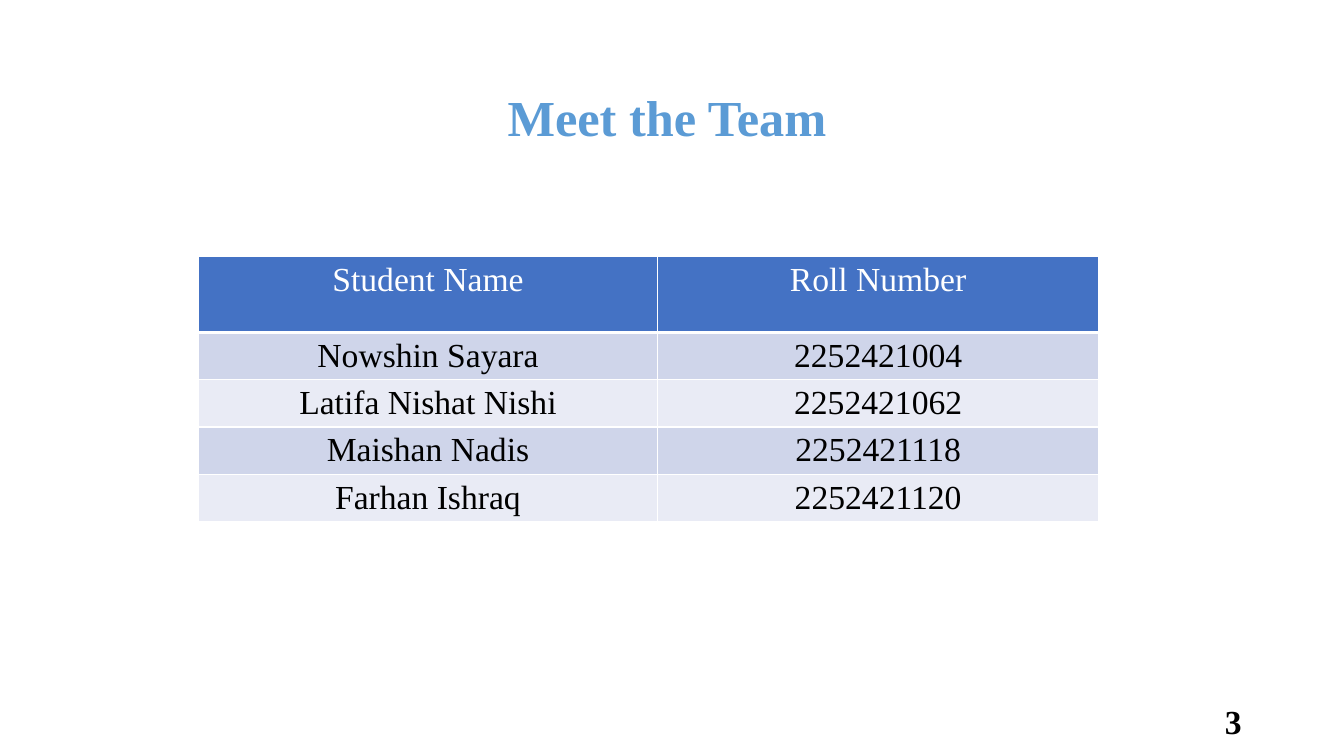
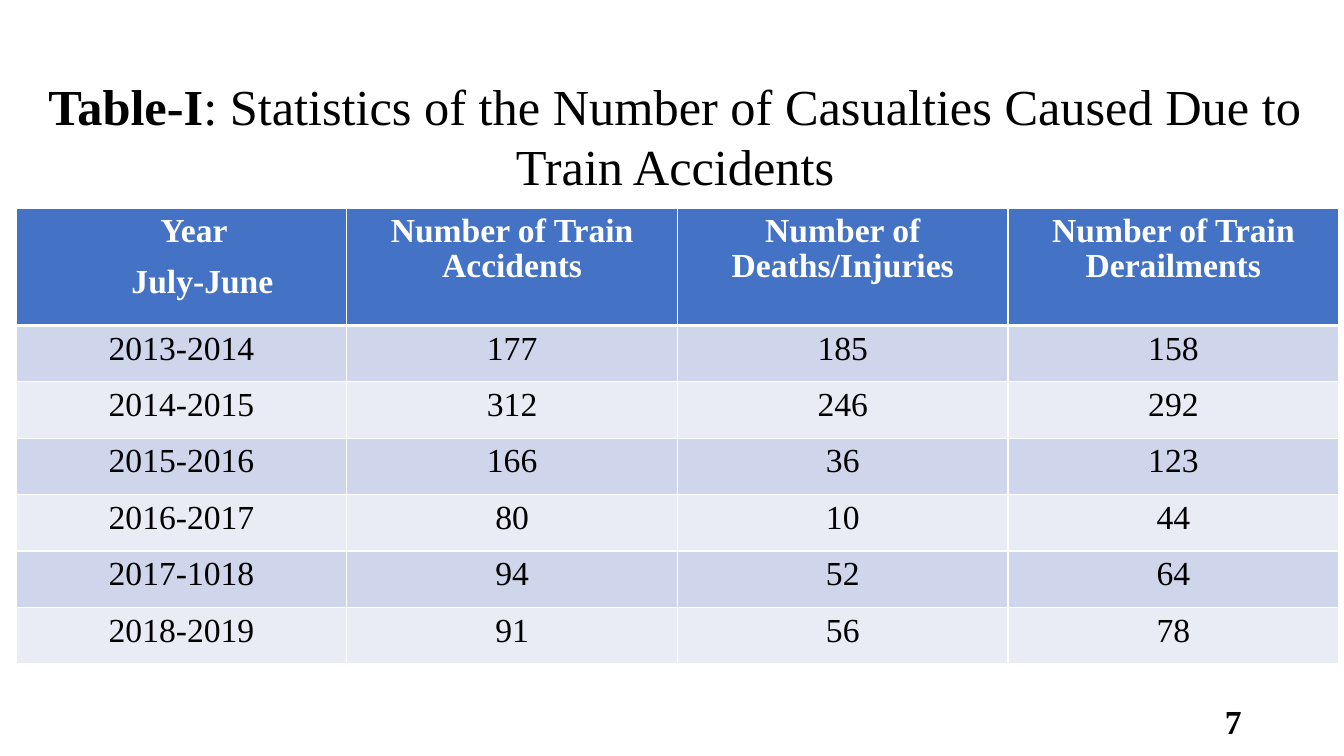
from lxml import etree
from pptx import Presentation
from pptx import util as u
from pptx.dml import color
from pptx.enum import text
from pptx.oxml import ns

ALIGN = text.PP_ALIGN


def rgb(value):
    return color.RGBColor.from_string(value)


class SlideWriter:
    """Holds the shared style and the slide being written."""

    FONT = "Times New Roman"
    BLACK, WHITE, TITLE_BLUE = "000000", "FFFFFF", "5B9BD5"
    HEADER, BANDS = "4472C4", ("CFD5EA", "E9EBF5")
    TITLE_SIZE, TEXT_SIZE = 36, 24
    THIN, THICK = 1, 3

    def __init__(self, deck):
        self.deck = deck
        self.page = None

    def new_page(self, number):
        self.page = self.deck.slides.add_slide(self.deck.slide_layouts[5])
        self.page_number(number)

    def place(self, shape, area):
        for name, value in zip(("left", "top", "width", "height"), area):
            setattr(shape, name, u.Pt(value))

    def add_span(self, para, words, size, shade, bold=False):
        span = para.add_run()
        span.text = words
        style = {"name": self.FONT, "size": u.Pt(size), "bold": bold}
        for name, value in style.items():
            setattr(span.font, name, value)
        span.font.color.rgb = rgb(shade)

    def frame_style(self, frame, anchor):
        style = {"word_wrap": True, "vertical_anchor": anchor,
                 "auto_size": text.MSO_AUTO_SIZE.NONE}
        for name, value in style.items():
            setattr(frame, name, value)

    def title(self, area, spans, shade):
        box = self.page.shapes.title
        self.place(box, area)
        self.frame_style(box.text_frame, text.MSO_ANCHOR.TOP)
        para = box.text_frame.paragraphs[0]
        para.alignment = ALIGN.CENTER
        for words, bold in spans:
            self.add_span(para, words, self.TITLE_SIZE, shade, bold)

    def page_number(self, number):
        box = self.page.shapes.add_textbox(*map(u.Pt, (678, 500.5, 216, 28.8)))
        self.frame_style(box.text_frame, text.MSO_ANCHOR.MIDDLE)
        para = box.text_frame.paragraphs[0]
        para.alignment = ALIGN.RIGHT
        self.add_span(para, str(number), self.TEXT_SIZE, self.BLACK, True)

    def borders(self, cell, row):
        # White rules, with a heavier one under the header row
        widths = {"lnL": self.THIN, "lnR": self.THIN,
                  "lnT": self.THICK if row == 1 else self.THIN,
                  "lnB": self.THICK if row == 0 else self.THIN}
        props = cell._tc.get_or_add_tcPr()
        for side, width in widths.items():
            line = etree.SubElement(props, ns.qn(f"a:{side}"), w=str(u.Pt(width)))
            fill = etree.SubElement(line, ns.qn("a:solidFill"))
            etree.SubElement(fill, ns.qn("a:srgbClr"), val=self.WHITE)

    def cell(self, cell, row, lines, bold_header, margin, spacing):
        header = row == 0
        if margin:
            for side in ("left", "top", "right", "bottom"):
                setattr(cell, f"margin_{side}", u.Pt(margin))
        self.borders(cell, row)
        cell.fill.solid()
        cell.fill.fore_color.rgb = rgb(
            self.HEADER if header else self.BANDS[(row - 1) % 2])

        # A line is (words, left indent in points)
        frame = cell.text_frame
        for index, (words, indent) in enumerate(lines):
            para = frame.add_paragraph() if index else frame.paragraphs[0]
            para.alignment = ALIGN.CENTER
            para.line_spacing = spacing
            if index:
                para.space_before = u.Pt(12)
            if indent:
                para._p.get_or_add_pPr().set("marL", str(u.Pt(indent)))
            self.add_span(para, words, self.TEXT_SIZE,
                          self.WHITE if header else self.BLACK,
                          header and bold_header)

    def table(self, corner, columns, header_height, row_height, rows,
              bold_header=False, margin=None, spacing=1.0):
        heights = [header_height] + [row_height] * (len(rows) - 1)
        area = (*corner, sum(columns), sum(heights))
        grid = self.page.shapes.add_table(
            len(rows), len(columns), *map(u.Pt, area)).table
        for column, width in zip(grid.columns, columns):
            column.width = u.Pt(width)
        for row, (values, height) in enumerate(zip(rows, heights)):
            grid.rows[row].height = u.Pt(height)
            for column, value in enumerate(values):
                lines = [(value, 0)] if isinstance(value, str) else value
                self.cell(grid.cell(row, column), row, lines,
                          bold_header, margin, spacing)


TEAM = [
    ("Student Name", "Roll Number"),
    ("Nowshin Sayara", "2252421004"),
    ("Latifa Nishat Nishi", "2252421062"),
    ("Maishan Nadis", "2252421118"),
    ("Farhan Ishraq", "2252421120"),
]
ACCIDENTS = [
    ([("Year", 18), ("July-June", 30)], "Number of Train Accidents",
     "Number of Deaths/Injuries", "Number of Train Derailments"),
    ("2013-2014", "177", "185", "158"),
    ("2014-2015", "312", "246", "292"),
    ("2015-2016", "166", "36", "123"),
    ("2016-2017", "80", "10", "44"),
    ("2017-1018", "94", "52", "64"),
    ("2018-2019", "91", "56", "78"),
]


def main():
    deck = Presentation()
    deck.slide_width, deck.slide_height = u.Pt(960), u.Pt(540)
    writer = SlideWriter(deck)

    # Team members
    writer.new_page(3)
    writer.title((278.5, 57.6, 396, 51), [("Meet the Team", True)],
                 writer.TITLE_BLUE)
    writer.table((142, 183.5), (327.5, 315.5), 54, 29.2, TEAM)

    # Train accident statistics
    writer.new_page(7)
    writer.title((4.3, 49.7, 956, 116.6), [
        ("Table-I", True),
        (": Statistics of the Number of Casualties Caused Due to Train Accidents",
         False)], writer.BLACK)
    writer.table((11.5, 148.5), [236.2] * 4, 84, 40.3, ACCIDENTS,
                 bold_header=True, margin=5, spacing=0.93)

    deck.save("out.pptx")


if __name__ == "__main__":
    main()
